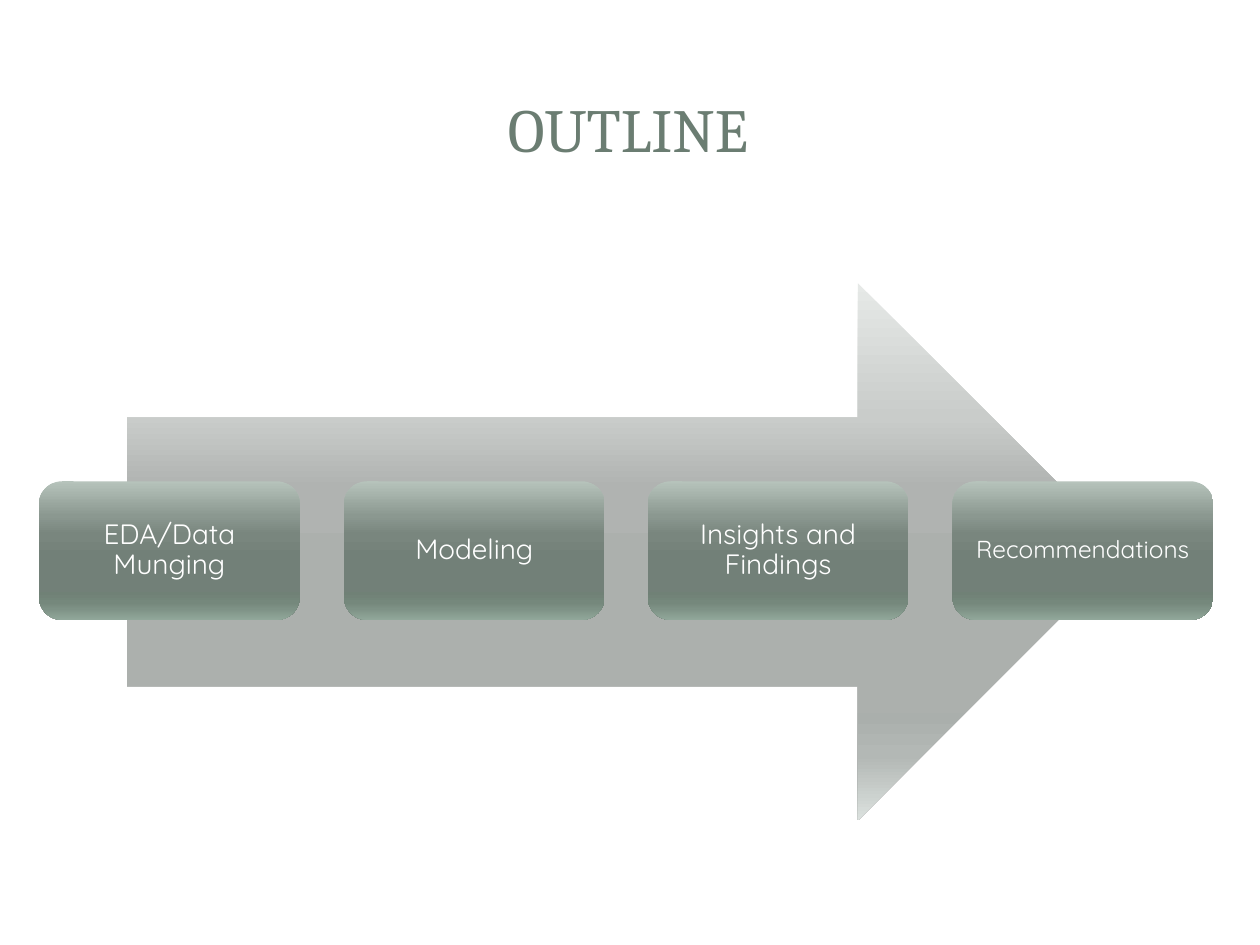
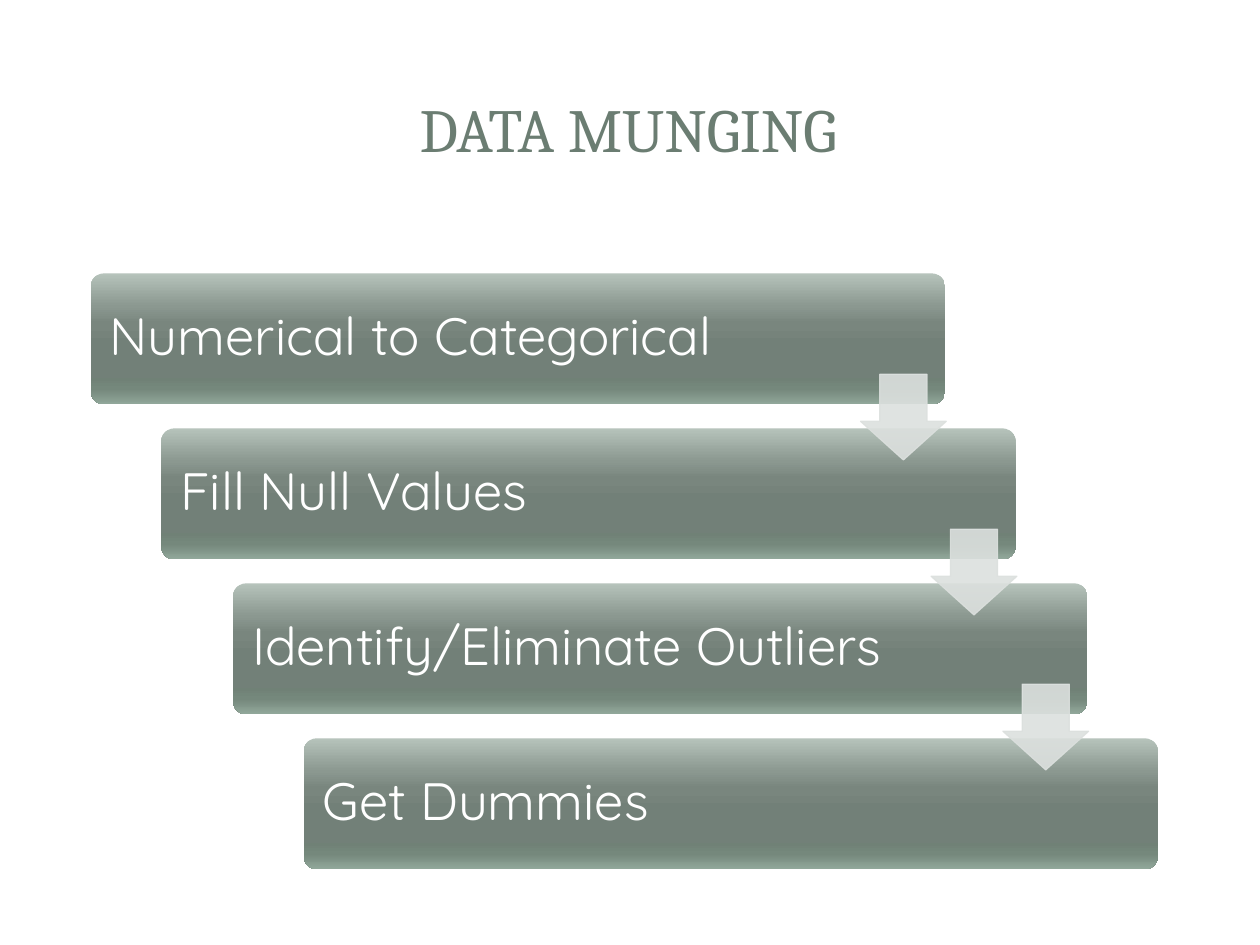
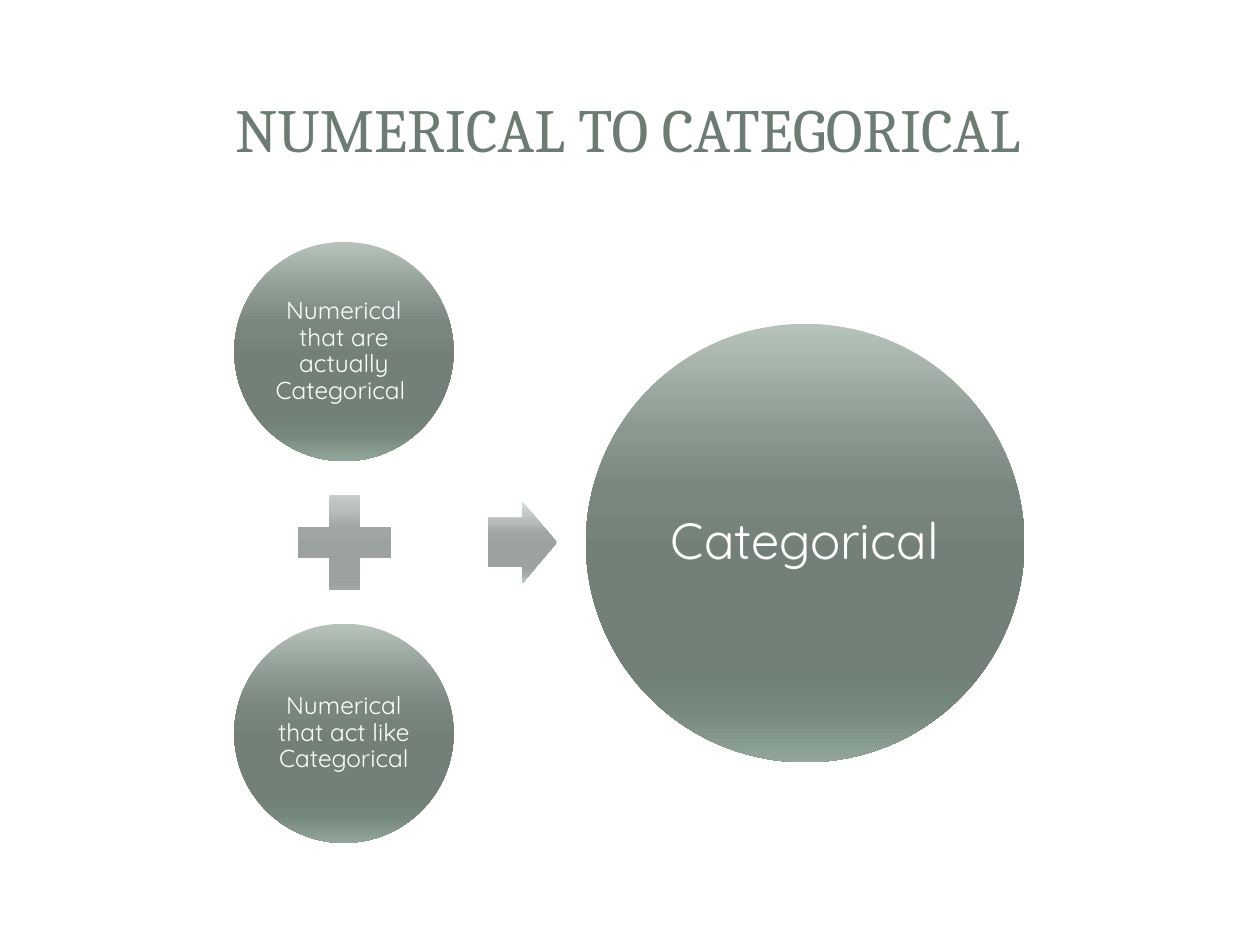
from dataclasses import dataclass

from lxml import etree
from pptx import Presentation
from pptx.dml.color import RGBColor
from pptx.enum.shapes import MSO_SHAPE
from pptx.enum.text import MSO_ANCHOR, PP_ALIGN
from pptx.oxml.ns import qn
from pptx.shapes.autoshape import Shape
from pptx.slide import Slide
from pptx.text.text import TextFrame
from pptx.util import Emu, Pt

ROUND_RECT = MSO_SHAPE.ROUNDED_RECTANGLE
OVAL = MSO_SHAPE.OVAL
RIGHT_ARROW = MSO_SHAPE.RIGHT_ARROW
DOWN_ARROW = MSO_SHAPE.DOWN_ARROW
PLUS = MSO_SHAPE.MATH_PLUS
LEFT, CENTER = PP_ALIGN.LEFT, PP_ALIGN.CENTER
MIDDLE = MSO_ANCHOR.MIDDLE

EMU_PER_PX = 9144  # 100 px to the inch
SLIDE_WIDTH, SLIDE_HEIGHT = 1000, 750
BLANK_LAYOUT = 6


@dataclass(frozen=True)
class Theme:
    title_font: str = "Cambria"
    body_font: str = "Quicksand"
    title_color: str = "6B7D72"
    node_color: str = "FFFFFF"
    step_arrow: str = "DCE0DE"
    step_arrow_opacity: int = 90
    title_size: int = 35
    stage_size: int = 16
    small_size: int = 14
    step_size: int = 30
    result_size: int = 29
    stops: tuple[int, ...] = (0, 25, 38, 55, 80, 88, 100)
    node_fill: tuple[str, ...] = (
        "B6C3BB", "8B9890", "79867E", "728078", "708176", "75887C", "91A79A")
    backdrop_fill: tuple[str, ...] = (
        "E6E9E7", "C9CCCA", "B0B3B1", "ACB0AD", "AAAFAC", "B3B8B5", "DBE1DE")
    sign_fill: tuple[str, ...] = (
        "D7DEDA", "B7BDBA", "A0A6A2", "9CA29E", "9AA19D", "A2AAA5", "C7D0CA")


THEME = Theme()


@dataclass(frozen=True)
class Box:
    left: int
    top: int
    width: int
    height: int

    def emu(self) -> tuple[Emu, ...]:
        return tuple(px(n) for n in (self.left, self.top, self.width, self.height))


@dataclass(frozen=True)
class Node:
    """A gradient shape with a label inside."""
    text: str
    kind: MSO_SHAPE
    box: Box
    size: int
    inset: int
    align: PP_ALIGN = CENTER
    adjustments: tuple[float, ...] = ()


def px(n: int) -> Emu:
    return Emu(n * EMU_PER_PX)


def spread(start: int, end: int, size: int, count: int) -> list[int]:
    """Starts of count equal items that fill start to end with equal gaps."""
    return [start + round(i * (end - start - size) / (count - 1)) for i in range(count)]


def write(tf: TextFrame, text: str, font: str, size: int, color: str,
          align: PP_ALIGN, inset: int) -> None:
    tf.word_wrap = True
    tf.vertical_anchor = MIDDLE
    tf.margin_left = tf.margin_right = tf.margin_top = tf.margin_bottom = px(inset)
    p = tf.paragraphs[0]
    p.alignment = align
    r = p.add_run()
    r.text = text
    r.font.name = font
    r.font.size = Pt(size)
    r.font.color.rgb = RGBColor.from_string(color)


def add_preset(s: Slide, kind: MSO_SHAPE, box: Box,
               adjustments: tuple[float, ...] = ()) -> Shape:
    sp = s.shapes.add_shape(kind, *box.emu())
    sp.shadow.inherit = False
    sp.line.fill.background()
    for i, value in enumerate(adjustments):
        sp.adjustments[i] = value
    return sp


def fill_gradient(sp: Shape, colors: tuple[str, ...]) -> None:
    """Fill from top to bottom at the theme's stops."""
    sp.fill.gradient()
    sp.fill.gradient_angle = 270
    stops = sp.element.spPr.find(qn("a:gradFill")).find(qn("a:gsLst"))
    for old in list(stops):
        stops.remove(old)
    for percent, color in zip(THEME.stops, colors):
        stop = etree.SubElement(stops, qn("a:gs"), pos=str(percent * 1000))
        etree.SubElement(stop, qn("a:srgbClr"), val=color)


def add_sign(s: Slide, kind: MSO_SHAPE, box: Box, colors: tuple[str, ...],
             adjustments: tuple[float, ...] = ()) -> None:
    fill_gradient(add_preset(s, kind, box, adjustments), colors)


def add_node(s: Slide, node: Node) -> None:
    sp = add_preset(s, node.kind, node.box, node.adjustments)
    fill_gradient(sp, THEME.node_fill)
    write(sp.text_frame, node.text, THEME.body_font, node.size,
          THEME.node_color, node.align, node.inset)
    sp.text_frame.paragraphs[0].line_spacing = 0.9


def add_step_arrow(s: Slide, box: Box) -> None:
    sp = add_preset(s, DOWN_ARROW, box, (0.55, 0.45))
    color = RGBColor.from_string(THEME.step_arrow)
    for fill in (sp.fill, sp.line.fill):
        fill.solid()
        fill.fore_color.rgb = color
    sp.line.width = Pt(0.75)
    for clr in sp.element.spPr.iter(qn("a:srgbClr")):
        etree.SubElement(clr, qn("a:alpha"), val=str(THEME.step_arrow_opacity * 1000))


def add_titled_slide(prs: Presentation, title: str) -> Slide:
    s = prs.slides.add_slide(prs.slide_layouts[BLANK_LAYOUT])
    tb = s.shapes.add_textbox(*Box(47, 45, 903, 114).emu())
    write(tb.text_frame, title, THEME.title_font, THEME.title_size,
          THEME.title_color, CENTER, 5)
    return s


def build_outline(prs: Presentation) -> None:
    s = add_titled_slide(prs, "OUTLINE")
    add_sign(s, RIGHT_ARROW, Box(101, 225, 793, 426), THEME.backdrop_fill)
    stages = (
        ("EDA/Data Munging", THEME.stage_size, 7),
        ("Modeling", THEME.stage_size, 7),
        ("Insights and Findings", THEME.stage_size, 7),
        ("Recommendations", THEME.small_size, 6),
    )
    lefts = spread(31, 963, 207, len(stages))
    for left, (text, size, inset) in zip(lefts, stages):
        add_node(s, Node(text, ROUND_RECT, Box(left, 382, 207, 110), size, inset))


def build_data_munging(prs: Presentation) -> None:
    s = add_titled_slide(prs, "DATA MUNGING")
    steps = ("Numerical to Categorical", "Fill Null Values",
             "Identify/Eliminate Outliers", "Get Dummies")
    width, height = 678, 104
    corners = list(zip(spread(72, 919, width, len(steps)),
                       spread(217, 690, height, len(steps))))
    for text, (left, top) in zip(steps, corners):
        add_node(s, Node(text, ROUND_RECT, Box(left, top, width, height),
                         THEME.step_size, 12, LEFT, (0.1,)))
    for left, top in corners[:-1]:
        add_step_arrow(s, Box(left + width - 67, top + 80, 68, 68))


def build_numerical_to_categorical(prs: Presentation) -> None:
    s = add_titled_slide(prs, "NUMERICAL TO CATEGORICAL")
    inputs = (("Numerical that are actually Categorical ", 192),
              ("Numerical that act like Categorical", 495))
    for text, top in inputs:
        add_node(s, Node(text, OVAL, Box(186, top, 174, 174), THEME.small_size, 2))
    add_sign(s, PLUS, Box(223, 380, 101, 101), THEME.sign_fill)
    add_sign(s, RIGHT_ARROW, Box(387, 398, 55, 65), THEME.sign_fill, (0.6, 0.5))
    add_node(s, Node("Categorical", OVAL, Box(465, 257, 348, 348),
                     THEME.result_size, 4))


def main() -> None:
    prs = Presentation()
    prs.slide_width, prs.slide_height = px(SLIDE_WIDTH), px(SLIDE_HEIGHT)
    build_outline(prs)
    build_data_munging(prs)
    build_numerical_to_categorical(prs)
    prs.save("out.pptx")


if __name__ == "__main__":
    main()
